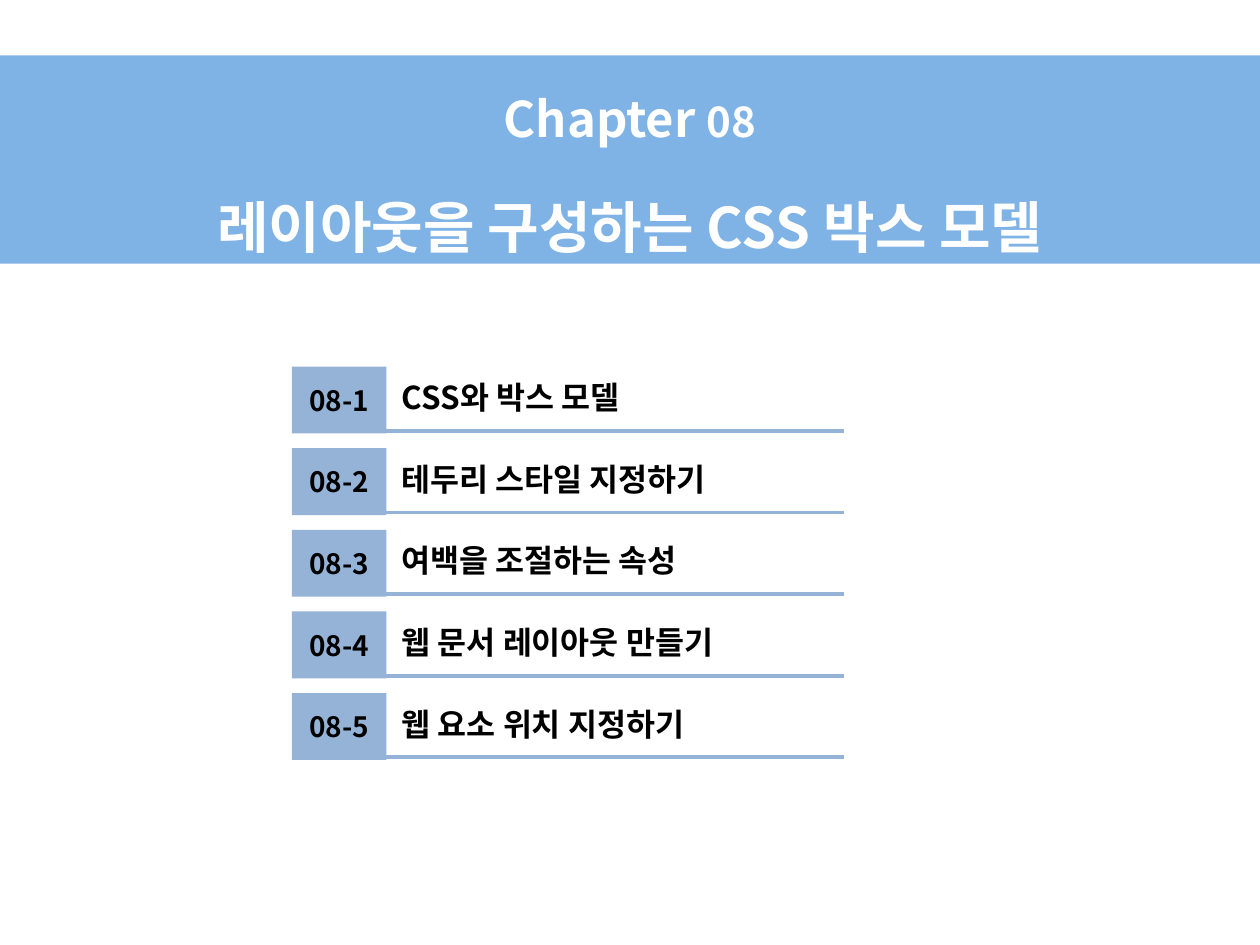
from lxml.etree import SubElement
from pptx import Presentation
from pptx.dml.color import RGBColor
from pptx.enum.shapes import MSO_CONNECTOR as CONN, MSO_SHAPE as SHAPE
from pptx.enum.text import MSO_ANCHOR as ANCHOR, MSO_AUTO_SIZE as AUTO, PP_ALIGN as ALIGN
from pptx.oxml.ns import qn
from pptx.util import Pt


def rgb(value):
    return RGBColor.from_string(value)


class ChapterSlide:
    """Holds the deck style and the current slide, and draws its elements."""

    font = "Noto Sans CJK KR"
    accent, banner_fill, black, white = "95B3D7", "0066CC", "000000", "FFFFFF"

    def __init__(self, prs):
        self.s = prs.slides.add_slide(prs.slide_layouts[6])

    def run(self, p, text, size, color):
        r = p.add_run()
        r.text = text
        for name, value in {"name": self.font, "size": Pt(size), "bold": True}.items():
            setattr(r.font, name, value)
        r.font.color.rgb = rgb(color)
        SubElement(r._r.get_or_add_rPr(), qn("a:ea")).set("typeface", self.font)

    def rect(self, shapes, box, fill):
        sp = shapes.add_shape(SHAPE.RECTANGLE, *map(Pt, box))
        sp.shadow.inherit = False
        sp.fill.solid()
        sp.fill.fore_color.rgb = rgb(fill)
        sp.line.fill.background()
        sp.text_frame.word_wrap = True
        sp.text_frame.vertical_anchor = ANCHOR.MIDDLE
        return sp

    def badge(self, shapes, box, text):
        p = self.rect(shapes, box, self.accent).text_frame.paragraphs[0]
        p.alignment = ALIGN.CENTER
        self.run(p, text, 16, self.black)

    def label(self, shapes, box, text):
        tf = shapes.add_textbox(*map(Pt, box)).text_frame
        tf.word_wrap = True
        tf.auto_size = AUTO.SHAPE_TO_FIT_TEXT
        self.run(tf.paragraphs[0], text, 18, self.black)

    def rule(self, shapes, x1, x2, y):
        cx = shapes.add_connector(CONN.STRAIGHT, *map(Pt, (x1, y, x2, y)))
        cx.line.color.rgb = rgb(self.accent)
        cx.line.width = Pt(2.25)
        SubElement(cx._element.spPr, qn("a:effectLst"))

    def entry(self, top, number, title):
        shapes = self.s.shapes.add_group_shape().shapes
        self.badge(shapes, (166.8, top, 54, 38.2), number)
        self.label(shapes, (222.5, top + 3, 313.2, 28.8), title)
        self.rule(shapes, 220.5, 482.4, top + 36.7)

    def banner(self, box, lines):
        sp = self.rect(self.s.shapes, box, self.banner_fill)
        color = sp._element.spPr.find(qn("a:solidFill")).find(qn("a:srgbClr"))
        SubElement(color, qn("a:alpha")).set("val", "50000")
        tf = sp.text_frame
        for i, runs in enumerate(lines):
            p = tf.add_paragraph() if i else tf.paragraphs[0]
            p.alignment = ALIGN.CENTER
            p.line_spacing = 1.5
            if i:
                p.space_before = Pt(6.4)
            for text, size in runs:
                self.run(p, text, size, self.white)


def main():
    prs = Presentation()
    prs.slide_width, prs.slide_height = Pt(720), Pt(540)
    slide = ChapterSlide(prs)
    titles = [
        "CSS와 박스 모델",
        "테두리 스타일 지정하기",
        "여백을 조절하는 속성",
        "웹 문서 레이아웃 만들기",
        "웹 요소 위치 지정하기",
    ]
    for i, title in enumerate(titles):
        slide.entry(209.5 + 46.65 * i, f"08-{i + 1}", title)
    slide.banner((0, 31.7, 720, 119), [
        [("Chapter ", 28), ("08", 24)],
        [("레이아웃을 구성하는 CSS 박스 모델", 32)],
    ])
    prs.save("out.pptx")


if __name__ == "__main__":
    main()
